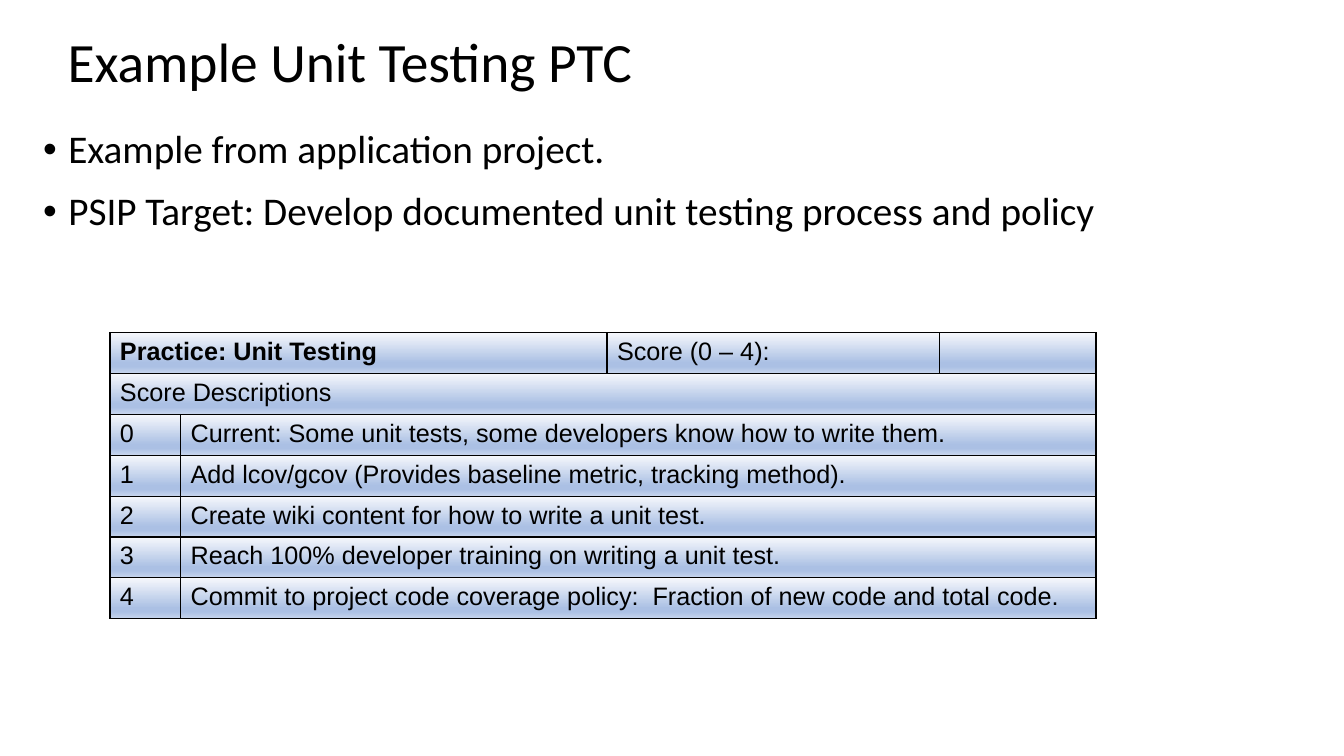
from dataclasses import dataclass

from lxml.etree import SubElement
from pptx import Presentation
from pptx.dml.color import RGBColor
from pptx.enum.text import MSO_ANCHOR, MSO_AUTO_SIZE, PP_ALIGN
from pptx.oxml.ns import qn
from pptx.util import Inches, Pt


@dataclass(frozen=True)
class Theme:
    """Colours, fonts and type sizes of the slide."""

    ink: str = "000000"
    gradient: tuple = ((0, "F6F8FC"), (74, "ABC0E4"), (83, "ABC0E4"), (100, "C7D5ED"))
    heading_font: str = "Calibri"
    table_font: str = "Arial"
    title_size: float = 39.6
    bullet_size: float = 28
    table_size: float = 18
    border: float = 1


THEME = Theme()
BULLETS = (
    "Example from application project.",
    "PSIP Target: Develop documented unit testing process and policy",
)
SCORES = (
    "Current: Some unit tests, some developers know how to write them.",
    "Add lcov/gcov (Provides baseline metric, tracking method).",
    "Create wiki content for how to write a unit test.",
    "Reach 100% developer training on writing a unit test.",
    "Commit to project code coverage policy:  Fraction of new code and total code.",
)
COLUMN_WIDTHS = (0.7, 4.23, 3.3, 1.55)


def apply(target, formats):
    """Set each attribute of target named in formats."""
    for attribute, value in formats.items():
        setattr(target, attribute, value)


def style_font(font, name, size, bold=False):
    """Give a font its face, size, weight and the ink colour."""
    apply(font, {"name": name, "size": Pt(size), "bold": bold})
    font.color.rgb = RGBColor.from_string(THEME.ink)


def place(part, box):
    """Put a part at box: left, top, width, height in inches."""
    names = ("left", "top", "width", "height")
    apply(part, dict(zip(names, map(Inches, box))))


def add_color(parent, color):
    """Append an RGB colour to an XML element."""
    SubElement(parent, qn("a:srgbClr"), val=color)


def build_title(slide, box):
    """Place and format the slide title."""
    title = slide.shapes.title
    place(title, box)
    title.text_frame.text = "Example Unit Testing PTC"
    apply(title.text_frame, {
        "word_wrap": True,
        "auto_size": MSO_AUTO_SIZE.NONE,
        "vertical_anchor": MSO_ANCHOR.MIDDLE,
    })
    heading = title.text_frame.paragraphs[0]
    apply(heading, {"alignment": PP_ALIGN.LEFT, "line_spacing": 0.9})
    style_font(heading.runs[0].font, THEME.heading_font, THEME.title_size)


def build_bullets(slide, box):
    """Write the bulleted introduction."""
    frame = slide.shapes.add_textbox(*map(Inches, box)).text_frame
    frame.word_wrap = True
    frame.text = "\n".join(BULLETS)
    for point in frame.paragraphs:
        apply(point, {"line_spacing": 0.9, "space_before": Pt(14)})
        style_font(point.runs[0].font, THEME.heading_font, THEME.bullet_size)
        properties = point._p.get_or_add_pPr()
        properties.set("marL", str(Inches(0.25)))
        properties.set("indent", str(-Inches(0.25)))
        add_color(SubElement(properties, qn("a:buClr")), THEME.ink)
        SubElement(properties, qn("a:buFont"), typeface="Arial")
        SubElement(properties, qn("a:buChar"), char="•")


def style_cell(cell):
    """Give a cell its borders and vertical gradient."""
    properties = cell._tc.get_or_add_tcPr()
    for side in ("lnL", "lnR", "lnT", "lnB"):
        border = SubElement(properties, qn(f"a:{side}"), w=str(Pt(THEME.border)))
        add_color(SubElement(border, qn("a:solidFill")), THEME.ink)
    gradient = SubElement(properties, qn("a:gradFill"), rotWithShape="1")
    stops = SubElement(gradient, qn("a:gsLst"))
    for percent, color in THEME.gradient:
        add_color(SubElement(stops, qn("a:gs"), pos=str(percent * 1000)), color)
    SubElement(gradient, qn("a:lin"), ang="5400000", scaled="0")


def build_score_card(slide, box):
    """Build the practice table with its score descriptions."""
    row_count = len(SCORES) + 2
    card = slide.shapes.add_table(
        row_count, len(COLUMN_WIDTHS), *map(Inches, box)).table
    apply(card, {"first_row": False, "horz_banding": False})
    for column, width in zip(card.columns, COLUMN_WIDTHS):
        column.width = Inches(width)
    for row in card.rows:
        row.height = Inches(box[3] / row_count)
    for cell in card.iter_cells():
        style_cell(cell)

    last = len(COLUMN_WIDTHS) - 1
    entries = [
        (0, 0, 1, "Practice: Unit Testing"),
        (0, 2, 2, "Score (0 – 4):"),
        (0, 3, 3, ""),
        (1, 0, last, "Score Descriptions"),
    ]
    for score, description in enumerate(SCORES):
        entries += [(score + 2, 0, 0, str(score)), (score + 2, 1, last, description)]
    for row, start, end, text in entries:
        cell = card.cell(row, start)
        if end > start:
            cell.merge(card.cell(row, end))
        cell.text = text
        style_font(cell.text_frame.paragraphs[0].font, THEME.table_font, THEME.table_size)
        for run in cell.text_frame.paragraphs[0].runs:
            style_font(run.font, THEME.table_font, THEME.table_size, row == start == 0)


def main():
    """Build and save the slide."""
    deck = Presentation()
    apply(deck, {"slide_width": Inches(13.33), "slide_height": Inches(7.5)})
    slide = deck.slides.add_slide(deck.slide_layouts.get_by_name("Title Only"))
    build_title(slide, (0.57, 0.36, 8.16, 0.57))
    build_score_card(slide, (1.09, 3.3, 9.78, 2.84))
    build_bullets(slide, (0.33, 1.24, 12.43, 1.65))
    deck.save("out.pptx")


if __name__ == "__main__":
    main()
